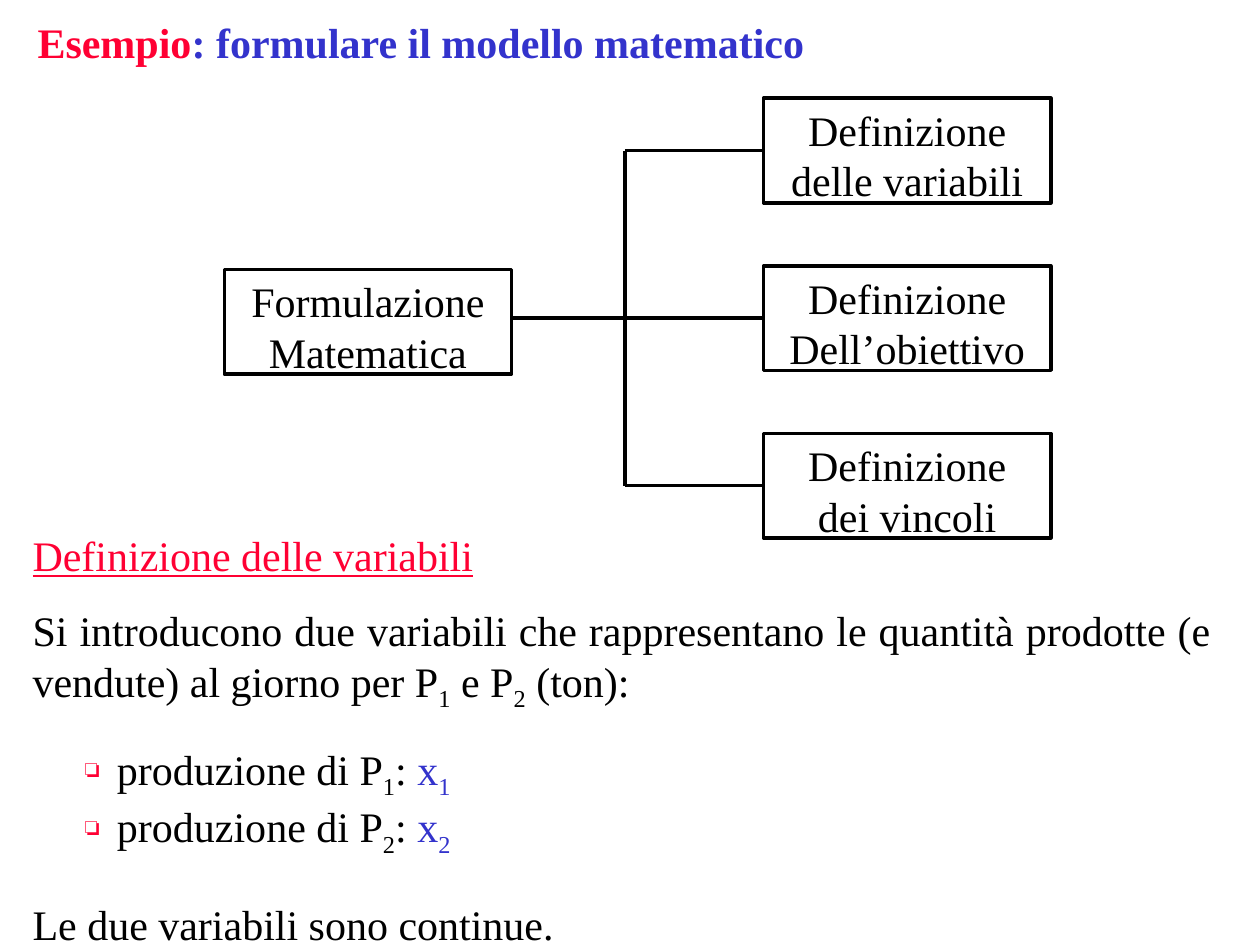
from lxml import etree
from pptx import Presentation
from pptx.dml.color import RGBColor
from pptx.enum.shapes import MSO_CONNECTOR, MSO_SHAPE
from pptx.enum.text import MSO_ANCHOR, PP_ALIGN
from pptx.oxml.ns import qn
from pptx.util import Inches, Pt

STRAIGHT = MSO_CONNECTOR.STRAIGHT
RECTANGLE = MSO_SHAPE.RECTANGLE
TOP, MIDDLE = MSO_ANCHOR.TOP, MSO_ANCHOR.MIDDLE
CENTER, JUSTIFY = PP_ALIGN.CENTER, PP_ALIGN.JUSTIFY

FONT, SIZE = "Times New Roman", 24
BLACK, WHITE, RED, BLUE = "000000", "FFFFFF", "FF0033", "3333CC"
BOX_W, BOX_H = 2.28, 0.83
ROOT_LEFT, ROOT_TOP = 1.78, 2.14
BRANCH_LEFT, BRANCH_TOP, BRANCH_STEP = 6.06, 0.78, 1.33
TRUNK_X = 4.96
BRANCHES = [
    ["Definizione", "delle variabili"],
    ["Definizione", "Dell’obiettivo"],
    ["Definizione", "dei vincoli"],
]


def color(value):
    return RGBColor.from_string(value)


def add_run(p, text, fill=BLACK, bold=False, underline=False, sub=False):
    r = p.add_run()
    r.text = text
    font = r.font
    font.name, font.size = FONT, Pt(SIZE)
    font.bold, font.underline = bold, underline
    font.color.rgb = color(fill)
    if sub:
        r._r.get_or_add_rPr().set("baseline", "-25000")


def add_subscripted(p, symbol, index, fill=BLACK):
    add_run(p, symbol, fill)
    add_run(p, index, fill, sub=True)


def add_text_box(s, left, top, width, height, anchor=TOP):
    tf = s.shapes.add_textbox(
        Inches(left), Inches(top), Inches(width), Inches(height)).text_frame
    tf.word_wrap = True
    tf.vertical_anchor = anchor
    tf.paragraphs[0].alignment = JUSTIFY
    return tf


def add_paragraph(tf, space_before=0):
    p = tf.add_paragraph()
    p.alignment = JUSTIFY
    p.space_before = Pt(space_before)
    return p


def add_bullet(p):
    pPr = p._p.get_or_add_pPr()
    pPr.set("marL", str(Inches(0.67)))
    pPr.set("indent", str(Inches(-0.25)))
    bullet_color = etree.SubElement(pPr, qn("a:buClr"))
    etree.SubElement(bullet_color, qn("a:srgbClr"), val=RED)
    etree.SubElement(pPr, qn("a:buSzPct"), val="60000")
    etree.SubElement(pPr, qn("a:buChar"), char="❏")


def add_box(s, left, top, lines):
    sp = s.shapes.add_shape(
        RECTANGLE, Inches(left), Inches(top), Inches(BOX_W), Inches(BOX_H))
    sp.shadow.inherit = False
    sp.fill.solid()
    sp.fill.fore_color.rgb = color(WHITE)
    sp.line.color.rgb = color(BLACK)
    sp.line.width = Pt(2)
    tf = sp.text_frame
    tf.word_wrap = False
    tf.vertical_anchor = TOP
    for i, line in enumerate(lines):
        p = tf.add_paragraph() if i else tf.paragraphs[0]
        p.alignment = CENTER
        add_run(p, line)
    return sp


def add_line(s, x1, y1, x2, y2):
    line = s.shapes.add_connector(
        STRAIGHT, Inches(x1), Inches(y1), Inches(x2), Inches(y2))
    line.line.color.rgb = color(BLACK)
    line.line.width = Pt(2)
    etree.SubElement(line._element.spPr, qn("a:effectLst"))
    return line


def add_title(s):
    p = add_text_box(s, 0.2, 0.07, 9.56, 0.52, MIDDLE).paragraphs[0]
    add_run(p, "Esempio", RED, bold=True)
    add_run(p, ": formulare il modello matematico", BLUE, bold=True)


def add_tree(s):
    add_box(s, ROOT_LEFT, ROOT_TOP, ["Formulazione", "Matematica"])
    middles = []
    for i, lines in enumerate(BRANCHES):
        top = BRANCH_TOP + i * BRANCH_STEP
        middle = top + BOX_H / 2
        box = add_box(s, BRANCH_LEFT, top, lines)
        add_line(s, TRUNK_X, middle, BRANCH_LEFT, middle).end_connect(box, 1)
        middles.append(middle)
    add_line(s, TRUNK_X, middles[0], TRUNK_X, middles[-1])
    add_line(s, ROOT_LEFT + BOX_W, middles[1], TRUNK_X, middles[1])


def add_explanation(s):
    tf = add_text_box(s, 0.16, 4.15, 9.55, 3.29)
    add_run(tf.paragraphs[0], "Definizione delle variabili", RED, underline=True)

    p = add_paragraph(tf, 14.5)
    add_run(p, "Si introducono due variabili che rappresentano le quantità "
               "prodotte (e vendute) al giorno per ")
    add_subscripted(p, "P", "1")
    add_run(p, " e ")
    add_subscripted(p, "P", "2")
    add_run(p, " (ton):")

    for index, gap in (("1", 17.5), ("2", 0)):
        p = add_paragraph(tf, gap)
        add_bullet(p)
        add_run(p, "produzione di ")
        add_subscripted(p, "P", index)
        add_run(p, ": ")
        add_subscripted(p, "x", index, BLUE)

    add_run(add_paragraph(tf, 23), "Le due variabili sono continue.")


def main():
    prs = Presentation()
    prs.slide_width, prs.slide_height = Inches(10), Inches(7.5)
    s = prs.slides.add_slide(prs.slide_layouts[6])
    add_title(s)
    add_tree(s)
    add_explanation(s)
    prs.save("out.pptx")


if __name__ == "__main__":
    main()
